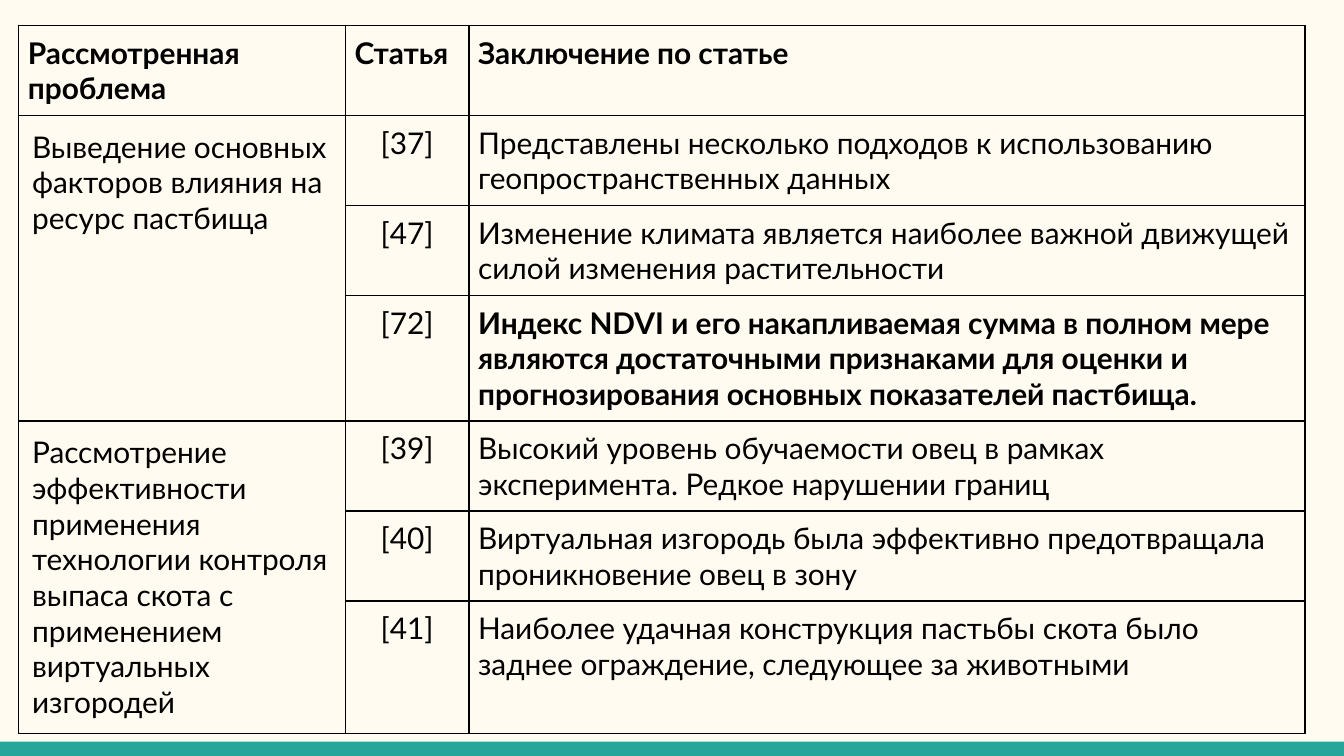
"""Build a slide with a table of reviewed articles and their conclusions."""
from lxml import etree
from pptx import Presentation
from pptx import util as u
from pptx.dml.color import RGBColor
from pptx.enum import shapes, text
from pptx.oxml.ns import qn


def paint(fill, color):
    fill.solid()
    fill.fore_color.rgb = RGBColor.from_string(color)


def add_borders(cell, widths):
    properties = cell._tc.get_or_add_tcPr()
    for index, (side, width) in enumerate(widths.items()):
        line = etree.Element(qn(f"a:ln{side}"), w=str(u.Pt(width)))
        solid = etree.SubElement(line, qn("a:solidFill"))
        etree.SubElement(solid, qn("a:srgbClr"), val="000000")
        properties.insert(index, line)


ROWS = [
    ("Рассмотренная проблема", "Статья", "Заключение по статье"),
    ("Выведение основных факторов влияния на ресурс пастбища", "[37]",
     "Представлены несколько подходов к использованию геопространственных данных"),
    ("", "[47]", "Изменение климата является наиболее важной движущей силой изменения растительности"),
    ("", "[72]", "Индекс NDVI и его накапливаемая сумма в полном мере являются достаточными "
                 "признаками для оценки и прогнозирования основных показателей пастбища."),
    ("Рассмотрение эффективности применения технологии контроля выпаса скота "
     "с применением виртуальных изгородей", "[39]",
     "Высокий уровень обучаемости овец в рамках эксперимента. Редкое нарушении границ"),
    ("", "[40]", "Виртуальная изгородь была эффективно предотвращала проникновение овец в зону"),
    ("", "[41]", "Наиболее удачная конструкция пастьбы скота было заднее ограждение, "
                 "следующее за животными"),
]
COLUMN_WIDTHS = [175, 66.2, 447.8]
ROW_HEIGHTS = [33.8, 38.9, 38.9, 39.6, 38.9, 35.3, 35.3]
BOLD_CELLS = [(0, 0), (0, 1), (0, 2), (3, 2)]

presentation = Presentation()
presentation.slide_width = u.Pt(720)
presentation.slide_height = u.Pt(405)
slide = presentation.slides.add_slide(presentation.slide_layouts[6])
paint(slide.background.fill, "FFFBF0")

bar = slide.shapes.add_shape(
    shapes.MSO_SHAPE.RECTANGLE, u.Pt(0), u.Pt(397.4), u.Pt(720), u.Pt(7.6))
bar.shadow.inherit = False
paint(bar.fill, "26A69A")
bar.line.fill.background()

table = slide.shapes.add_table(
    len(ROWS), len(COLUMN_WIDTHS), u.Pt(10), u.Pt(13.6),
    u.Pt(sum(COLUMN_WIDTHS)), u.Pt(sum(ROW_HEIGHTS))).table
table.first_row = table.horz_banding = False
for column, width in zip(table.columns, COLUMN_WIDTHS):
    column.width = u.Pt(width)
for row, height in zip(table.rows, ROW_HEIGHTS):
    row.height = u.Pt(height)

for row_index, row in enumerate(ROWS):
    for column_index, words in enumerate(row):
        cell = table.cell(row_index, column_index)
        is_problem = column_index == 0 and row_index > 0
        for side in ("left", "top", "right", "bottom"):
            setattr(cell, f"margin_{side}", u.Pt(7.2 if is_problem else 5))
        cell.fill.background()
        borders = {"L": 1, "R": 1, "T": 1, "B": 1}
        if is_problem:
            borders = {"L": 0.75, "R": 0.75 if row_index < 4 else 1, "T": 0.75, "B": 0.75}
        elif (row_index, column_index) == (0, 0):
            borders["B"] = 0.75
        elif column_index == 1 and 1 <= row_index <= 3:
            borders["L"] = 0.75
        add_borders(cell, borders)
        if not words:
            continue
        paragraph = cell.text_frame.paragraphs[0]
        centred = column_index == 1 and row_index > 0
        paragraph.alignment = text.PP_ALIGN.CENTER if centred else text.PP_ALIGN.LEFT
        run = paragraph.add_run()
        run.text = words
        font_format = {"name": "Lato", "size": u.Pt(16),
                       "bold": (row_index, column_index) in BOLD_CELLS}
        for name, value in font_format.items():
            setattr(run.font, name, value)
        paint(run.font.fill, "000000")

for first in (1, 4):
    table.cell(first, 0).merge(table.cell(first + 2, 0))

presentation.save("out.pptx")
